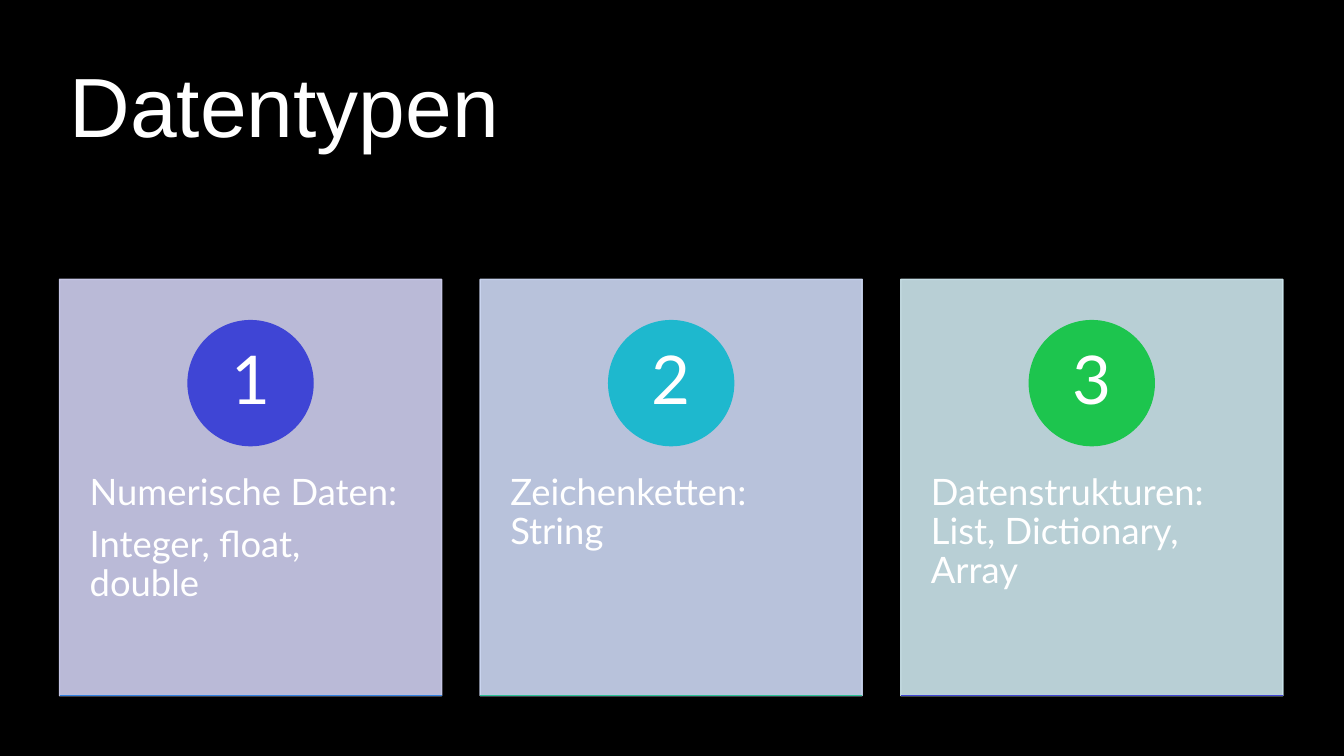
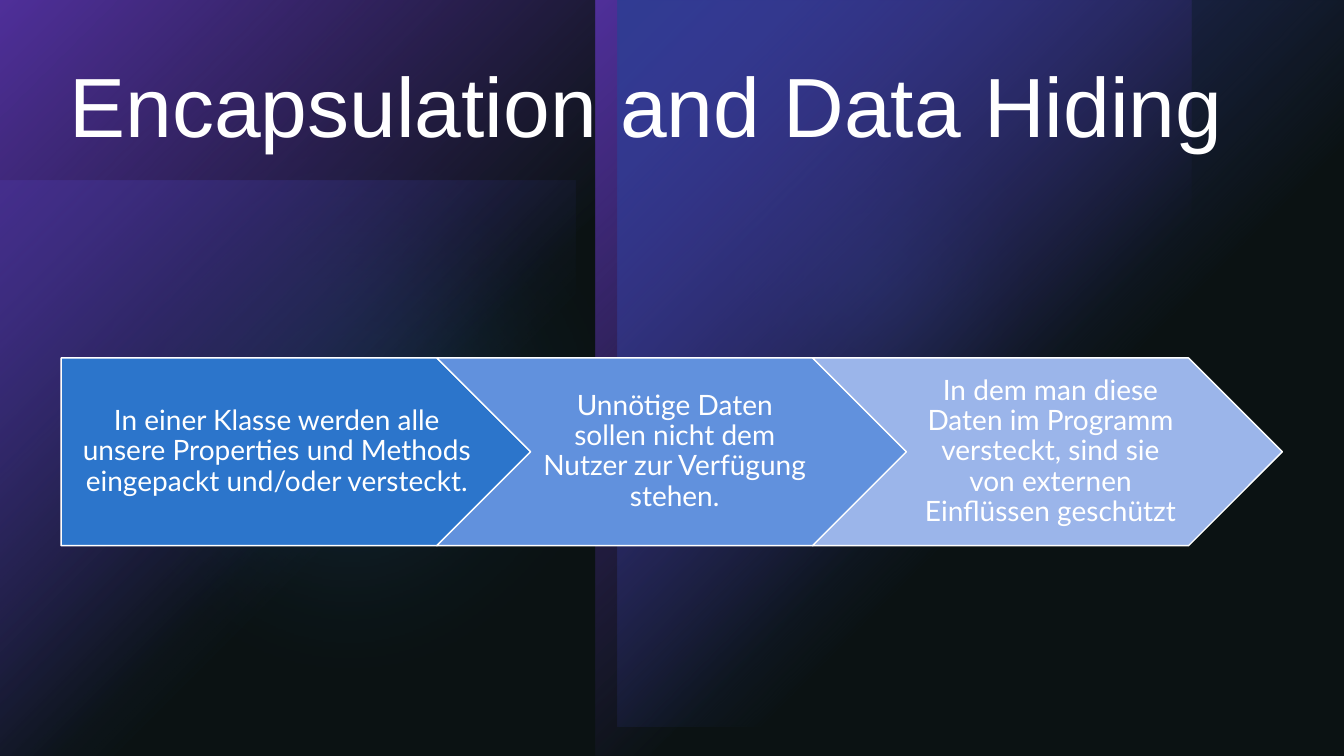
from pptx import Presentation
from pptx.dml.color import RGBColor
from pptx.enum.shapes import MSO_CONNECTOR as CONNECTOR, MSO_SHAPE as SHAPE
from pptx.enum.text import MSO_ANCHOR as ANCHOR, PP_ALIGN as ALIGN
from pptx.oxml import parse_xml
from pptx.oxml.ns import nsdecls, qn
from pptx.util import Cm, Pt

COLORS = {
    "black": "000000", "white": "FFFFFF", "veil": "1C2F31",
    "violet": "7230E0", "indigo": "3F45D5", "blue": "3081E0",
    "cyan": "1EB8CE", "green": "1DC54E", "mint": "29C195",
    "lavender": "CFCFEF", "ice": "CDD8F3", "aqua": "CDE6ED",
    "arrow_dark": "2C75CB", "arrow_mid": "6191DD", "arrow_light": "9BB5EA",
}


def add_filled(slide, kind, box, color, opacity=100, line=None):
    """Add a preset shape; box is left, top, width, height in cm."""
    shape = slide.shapes.add_shape(kind, *[Cm(length) for length in box])
    shape.shadow.inherit = False
    shape.fill.solid()
    shape.fill.fore_color.rgb = RGBColor.from_string(COLORS[color])
    if line:
        shape.line.color.rgb = RGBColor.from_string(COLORS[line])
        shape.line.width = Pt(1)
    else:
        shape.line.fill.background()
    if opacity < 100:
        for solid in shape._element.spPr.iter(qn("a:solidFill")):
            solid[0].append(parse_xml(
                f'<a:alpha {nsdecls("a")} val="{opacity * 1000}"/>'))
    return shape


def write_text(shape, text, size, insets, align=ALIGN.LEFT,
               anchor=ANCHOR.TOP, font="Lato", space_after=0):
    """Fill a shape with white text; insets are left, top, right, bottom in cm."""
    frame = shape.text_frame
    frame.word_wrap = True
    frame.vertical_anchor = anchor
    (frame.margin_left, frame.margin_top,
     frame.margin_right, frame.margin_bottom) = [Cm(inset) for inset in insets]
    frame.text = text
    for paragraph in frame.paragraphs:
        paragraph.alignment = align
        paragraph.line_spacing = 0.9
        paragraph.space_after = Pt(space_after)
        for run in paragraph.runs:
            run.font.name = font
            run.font.size = Pt(size)
            run.font.color.rgb = RGBColor.from_string(COLORS["white"])


presentation = Presentation()
presentation.slide_width = Cm(33.87)
presentation.slide_height = Cm(19.05)
background = presentation.slide_master.background.fill
background.solid()
background.fore_color.rgb = RGBColor.from_string(COLORS["black"])
blank = presentation.slide_layouts[6]
types_slide = presentation.slides.add_slide(blank)
hiding_slide = presentation.slides.add_slide(blank)

# Glowing backdrop: corner gradients and soft discs under a dark veil
backdrop = [
    (SHAPE.RECTANGLE, (0, 4.56, 14.5, 14.5), "indigo", 60),
    (SHAPE.OVAL, (15.98, 1.09, 11.99, 11.99), "blue", 60),
    (SHAPE.OVAL, (0, 1.42, 17.63, 17.63), "blue", 20),
    (SHAPE.RECTANGLE, (0, 0, 15.01, 19.05), "violet", 100),
    (SHAPE.RECTANGLE, (15.01, 0, 15.01, 19.05), "violet", 100),
    (SHAPE.RECTANGLE, (15.56, 0, 18.31, 18.31), "indigo", 100),
]
for kind, box, color, opacity in backdrop:
    glow = add_filled(hiding_slide, kind, box, color, opacity)
    properties = glow._element.spPr
    if kind == SHAPE.OVAL:
        properties.find(qn("a:effectLst")).append(parse_xml(
            f'<a:softEdge {nsdecls("a")} rad="{Cm(3.53)}"/>'))
        continue
    stops = "".join(
        f'<a:gs pos="{position * 1000}"><a:srgbClr val="{COLORS[color]}">'
        f'<a:alpha val="{alpha * 1000}"/></a:srgbClr></a:gs>'
        for position, alpha in ((0, opacity), (60, 0)))
    properties.replace(properties.find(qn("a:solidFill")), parse_xml(
        f'<a:gradFill {nsdecls("a")} rotWithShape="1"><a:gsLst>{stops}</a:gsLst>'
        '<a:path path="circle"><a:fillToRect r="100000" b="100000"/></a:path>'
        '<a:tileRect l="-100000" t="-100000"/></a:gradFill>'))
add_filled(hiding_slide, SHAPE.RECTANGLE, (0, 0, 33.87, 19.05), "veil", 40)

# Titles
for slide, title in ((types_slide, "Datentypen"),
                     (hiding_slide, "Encapsulation and Data Hiding")):
    title_box = slide.shapes.add_textbox(Cm(1.5), Cm(1.5), Cm(30.84), Cm(5.03))
    write_text(title_box, title, 60, (0.25, 0.13, 0.25, 0.13), font="Arial")

# Numbered cards
CARD_TOP, CARD_WIDTH, CARD_HEIGHT, CARD_PITCH = 7.04, 9.63, 10.49, 10.6
BADGE = 3.15
cards = [
    ("Numerische Daten:\nInteger, float, double", "lavender", "indigo", "blue"),
    ("Zeichenketten: String", "ice", "cyan", "mint"),
    ("Datenstrukturen: List, Dictionary, Array", "aqua", "green", "indigo"),
]
for index, (text, card_color, badge_color, base_color) in enumerate(cards):
    left = 1.5 + index * CARD_PITCH
    card = add_filled(types_slide, SHAPE.RECTANGLE,
                      (left, CARD_TOP, CARD_WIDTH, CARD_HEIGHT),
                      card_color, 90, card_color)
    write_text(card, text, 26, (0.76, 4.9, 0.76, 0.91), space_after=9)
    badge = add_filled(types_slide, SHAPE.OVAL,
                       (left + (CARD_WIDTH - BADGE) / 2, 8.08, BADGE, BADGE),
                       badge_color, line=badge_color)
    write_text(badge, str(index + 1), 48, (0.25, 0.03, 0.25, 0.03),
               ALIGN.CENTER, ANCHOR.MIDDLE)
    bottom = Cm(CARD_TOP + CARD_HEIGHT)
    base_line = types_slide.shapes.add_connector(
        CONNECTOR.STRAIGHT, Cm(left), bottom, Cm(left + CARD_WIDTH), bottom)
    base_line.line.color.rgb = RGBColor.from_string(COLORS[base_color])
    base_line.line.width = Pt(1)
    base_line._element.spPr.append(parse_xml(f'<a:effectLst {nsdecls("a")}/>'))

# Arrow chain
steps = [
    (SHAPE.PENTAGON, "arrow_dark", 0.3,
     "In einer Klasse werden alle unsere Properties und Methods "
     "eingepackt und/oder versteckt."),
    (SHAPE.CHEVRON, "arrow_mid", 0.23,
     "Unnötige Daten sollen nicht dem Nutzer zur Verfügung stehen."),
    (SHAPE.CHEVRON, "arrow_light", 0.23,
     "In dem man diese Daten im Programm versteckt, sind sie von "
     "externen Einflüssen geschützt"),
]
for index, (kind, color, left_inset, text) in enumerate(steps):
    arrow = add_filled(hiding_slide, kind, (1.54 + index * 9.47, 9.02, 11.84, 4.73),
                       color, line="white")
    write_text(arrow, text, 20, (left_inset, 0.15, 0.08, 0.15),
               ALIGN.CENTER, ANCHOR.MIDDLE)

presentation.save("out.pptx")
